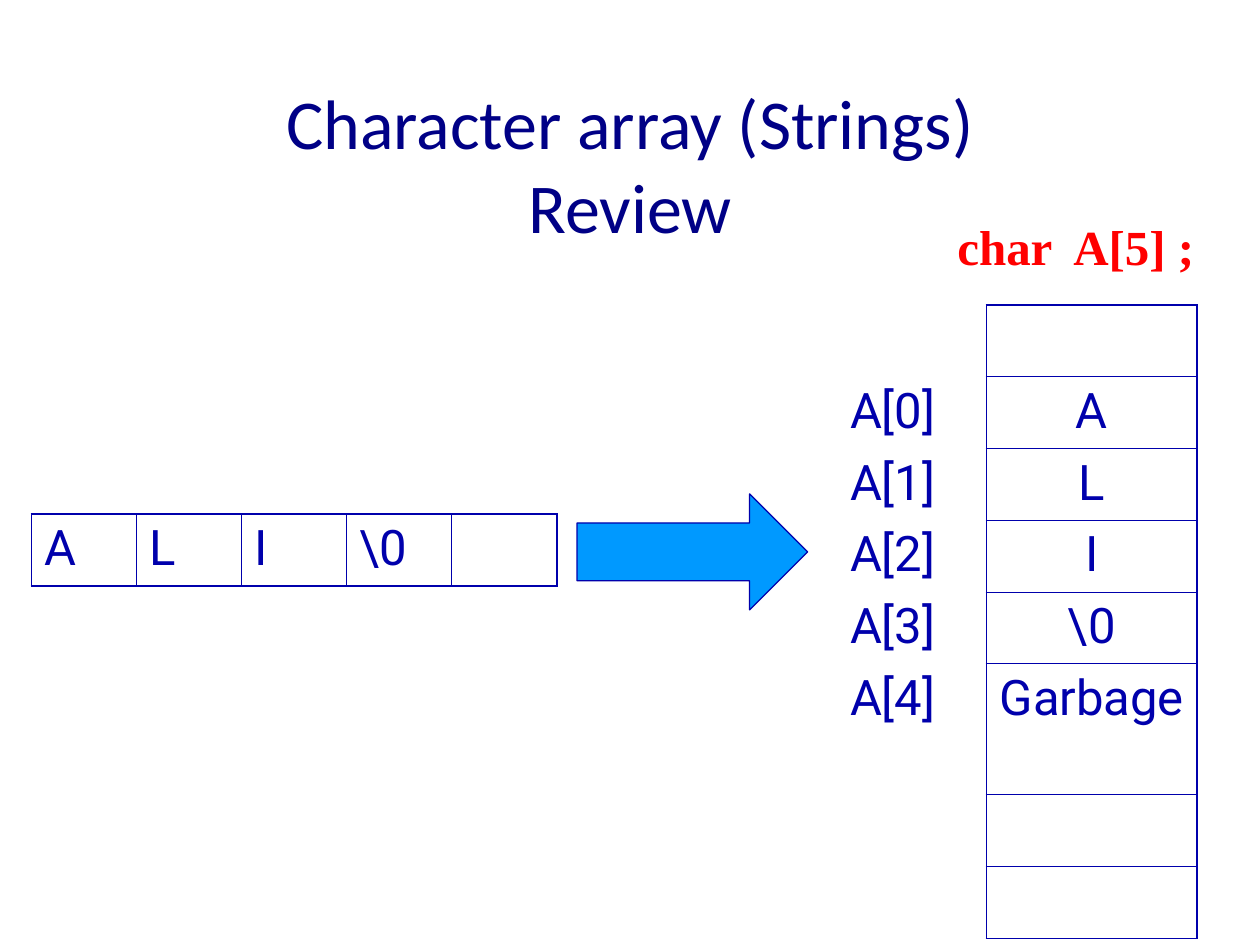
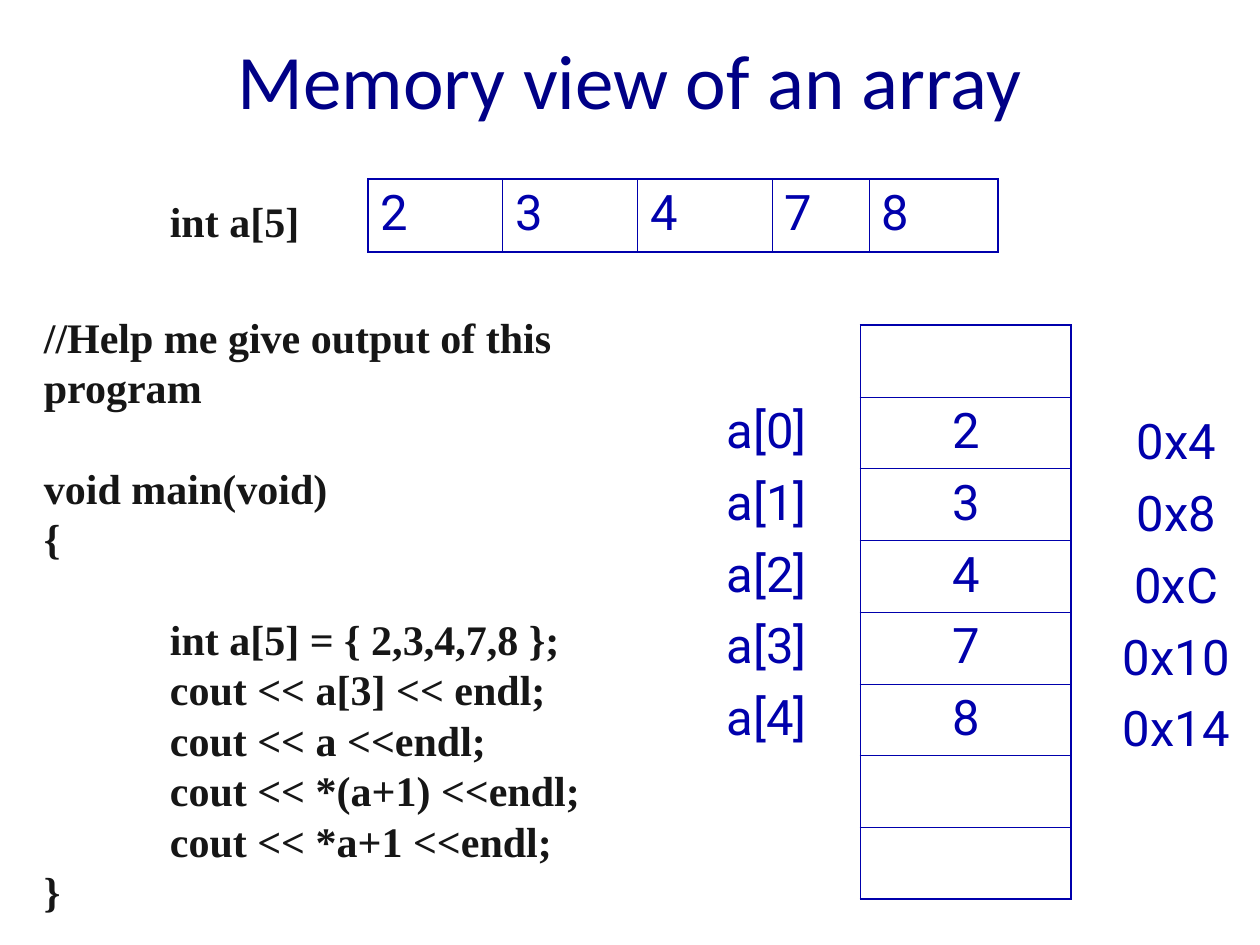
from dataclasses import dataclass

from lxml import etree
from pptx import Presentation
from pptx.dml.color import RGBColor
from pptx.enum.shapes import MSO_SHAPE
from pptx.enum.text import MSO_ANCHOR, PP_ALIGN
from pptx.oxml.ns import qn
from pptx.slide import Slide
from pptx.table import _Cell
from pptx.util import Inches, Pt

TITLE_NAVY = RGBColor(0x00, 0x00, 0x86)
MEMORY_BLUE = RGBColor(0x00, 0x00, 0xAC)
ARROW_BLUE = RGBColor(0x00, 0x99, 0xFF)
CODE_BLACK = RGBColor(0x16, 0x16, 0x16)
DECLARATION_RED = RGBColor(0xFF, 0x00, 0x00)

LEFT, CENTER = PP_ALIGN.LEFT, PP_ALIGN.CENTER
TOP, MIDDLE = MSO_ANCHOR.TOP, MSO_ANCHOR.MIDDLE
RIGHT_ARROW = MSO_SHAPE.RIGHT_ARROW

TITLE_FONT, CELL_FONT, CODE_FONT = "Calibri", "Roboto", "Times New Roman"
CODE_LEADING = 1.2
TITLE_ONLY = 5

ROW_HEIGHT = 0.57
MEMORY_WIDTH, LABEL_WIDTH = 1.67, 1.33
OUTER_LINE, INNER_LINE = Pt(1.08), Pt(0.45)


@dataclass
class Grid:
    """A table of memory cells; sizes are in inches."""
    left: float
    top: float
    columns: list[float]
    rows: list[float]
    values: list[str]
    align: PP_ALIGN = CENTER
    ruled: bool = True


@dataclass
class CodeLine:
    text: str
    indent: float = 0
    gap_lines: int = 0


def memory_column(left: float, top: float, values: list[str]) -> Grid:
    """One empty cell above the values and two below."""
    return Grid(left, top, [MEMORY_WIDTH], [ROW_HEIGHT] * 8, ["", *values, "", ""])


def label_column(left: float, top: float, labels: list[str]) -> Grid:
    column = memory_column(left, top, labels)
    column.columns, column.ruled = [LABEL_WIDTH], False
    return column


def add_titled_slide(prs: Presentation, title: str, top: float, size: int) -> Slide:
    slide = prs.slides.add_slide(prs.slide_layouts[TITLE_ONLY])
    heading = slide.shapes.title
    heading.left, heading.top = 0, Inches(top)
    heading.width, heading.height = prs.slide_width, Inches(1.25)
    frame = heading.text_frame
    frame.text = title
    frame.vertical_anchor = MIDDLE
    paragraph = frame.paragraphs[0]
    paragraph.alignment = CENTER
    paragraph.font.name, paragraph.font.size = TITLE_FONT, Pt(size)
    paragraph.font.color.rgb = TITLE_NAVY
    return slide


def set_borders(cell: _Cell, widths: dict[str, int], ruled: bool) -> None:
    properties = cell._tc.get_or_add_tcPr()
    for position, (side, width) in enumerate(widths.items()):
        line = etree.Element(qn(f"a:{side}"), w=str(width))
        if ruled:
            fill = etree.SubElement(line, qn("a:solidFill"))
            etree.SubElement(fill, qn("a:srgbClr"), val=str(MEMORY_BLUE))
        else:
            etree.SubElement(line, qn("a:noFill"))
        properties.insert(position, line)


def add_grid(slide: Slide, grid: Grid) -> None:
    row_count, column_count = len(grid.rows), len(grid.columns)
    table = slide.shapes.add_table(
        row_count, column_count, Inches(grid.left), Inches(grid.top),
        Inches(sum(grid.columns)), Inches(sum(grid.rows))).table
    table.first_row = table.horz_banding = False
    for column, width in zip(table.columns, grid.columns):
        column.width = Inches(width)
    for row, height in zip(table.rows, grid.rows):
        row.height = Inches(height)

    for index, (cell, value) in enumerate(zip(table.iter_cells(), grid.values)):
        row, column = divmod(index, column_count)
        on_edge = {"lnL": column == 0, "lnR": column == column_count - 1,
                   "lnT": row == 0, "lnB": row == row_count - 1}
        cell.fill.background()
        set_borders(cell, {side: OUTER_LINE if edge else INNER_LINE
                           for side, edge in on_edge.items()}, grid.ruled)
        cell.vertical_anchor = TOP
        cell.text = value
        paragraph = cell.text_frame.paragraphs[0]
        paragraph.alignment = grid.align
        paragraph.font.name, paragraph.font.size = CELL_FONT, Pt(28)
        paragraph.font.color.rgb = MEMORY_BLUE


def add_code(slide: Slide, left: float, top: float, width: float, height: float,
             lines: list[CodeLine], size: int = 24,
             color: RGBColor = CODE_BLACK) -> None:
    frame = slide.shapes.add_textbox(
        Inches(left), Inches(top), Inches(width), Inches(height)).text_frame
    frame.word_wrap = True
    leading = Pt(size * CODE_LEADING)
    for index, line in enumerate(lines):
        paragraph = frame.add_paragraph() if index else frame.paragraphs[0]
        paragraph.text = line.text
        paragraph.alignment = LEFT
        paragraph.line_spacing = leading
        paragraph.space_before = leading * line.gap_lines
        paragraph._p.get_or_add_pPr().set("marL", str(Inches(line.indent)))
        font = paragraph.font
        font.name, font.size, font.bold = CODE_FONT, Pt(size), True
        font.color.rgb = color


def build_string_review(prs: Presentation) -> None:
    slide = add_titled_slide(prs, "Character array (Strings)\vReview", 0.67, 40)
    letters = ["A", "L", "I", "\\0"]
    top = 2.42
    add_grid(slide, Grid(0.25, 4.08, [4.17 / 5] * 5, [ROW_HEIGHT],
                         [*letters, ""], LEFT))
    memory = memory_column(7.83, top, [*letters, "Garbage"])
    memory.rows[5] = 1.04
    add_grid(slide, memory)
    add_grid(slide, label_column(6.42, top, [f"A[{i}]" for i in range(5)]))

    arrow = slide.shapes.add_shape(
        RIGHT_ARROW, Inches(4.58), Inches(3.92), Inches(1.83), Inches(0.92))
    arrow.shadow.inherit = False
    arrow.fill.solid()
    arrow.fill.fore_color.rgb = ARROW_BLUE
    arrow.line.color.rgb = MEMORY_BLUE
    arrow.line.width = Pt(0.75)

    add_code(slide, 7.5, 1.67, 2.2, 0.57, [CodeLine("char  A[5] ;")],
             28, DECLARATION_RED)


def build_memory_view(prs: Presentation) -> None:
    slide = add_titled_slide(prs, "Memory view of an array", 0, 44)
    numbers = ["2", "3", "4", "7", "8"]
    top = 2.58
    add_grid(slide, Grid(2.92, 1.42, [1.07, 1.07, 1.07, 0.77, 1.02], [0.58],
                         numbers, LEFT))
    add_grid(slide, memory_column(6.83, top, numbers))
    add_grid(slide, label_column(5.42, top, [f"a[{i}]" for i in range(5)]))
    add_grid(slide, label_column(8.67, 2.67, [f"0x{4 * i:X}" for i in range(1, 6)]))

    add_code(slide, 1.25, 1.5, 2.06, 0.5, [CodeLine("int a[5]")])
    add_code(slide, 0.25, 2.42, 5.25, 4.9, [
        CodeLine("//Help me give output of this program"),
        CodeLine("void main(void)", gap_lines=1),
        CodeLine("{"),
        CodeLine("int a[5] = { 2,3,4,7,8 };", indent=1, gap_lines=1),
        CodeLine("cout << a[3] << endl;", indent=1),
        CodeLine("cout << a <<endl;", indent=1),
        CodeLine("cout << *(a+1) <<endl;", indent=1),
        CodeLine("cout << *a+1 <<endl;", indent=1),
        CodeLine("}"),
    ])


def main() -> None:
    prs = Presentation()
    prs.slide_width, prs.slide_height = Inches(10), Inches(7.5)
    build_string_review(prs)
    build_memory_view(prs)
    prs.save("out.pptx")


if __name__ == "__main__":
    main()
